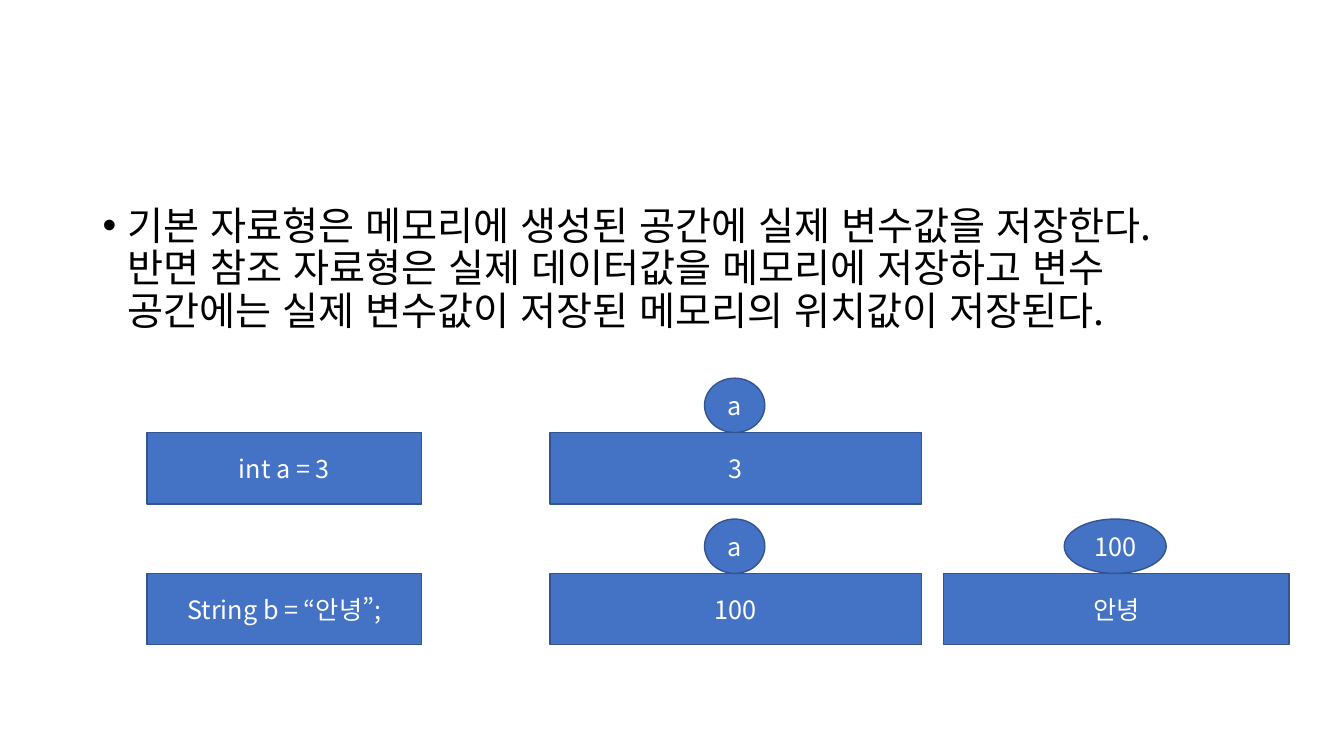
from pptx import Presentation
from pptx.dml.color import RGBColor
from pptx.enum.lang import MSO_LANGUAGE_ID
from pptx.enum.shapes import MSO_SHAPE
from pptx.enum.text import MSO_ANCHOR, PP_ALIGN
from pptx.util import Cm, Pt

FONT = "Noto Sans CJK KR"
EXPLANATION = (
    "기본 자료형은 메모리에 생성된 공간에 실제 변수값을 저장한다. "
    "반면 참조 자료형은 실제 데이터값을 메모리에 저장하고 변수 "
    "공간에는 실제 변수값이 저장된 메모리의 위치값이 저장된다."
)
BOX_HEIGHT = 1.8
LABEL_HEIGHT = 1.37
LABEL_SHIFT = -0.03
COLUMNS = {"code": (3.71, 6.91), "variable": (13.86, 9.37), "data": (23.78, 8.71)}
PRIMITIVE_TOP = 10.9
REFERENCE_TOP = 14.45


def color(value):
    """Turn a hex string into a colour."""
    return RGBColor.from_string(value)


def set_font(paragraph, size, value):
    """Set size, colour, typeface and language of a paragraph."""
    font = paragraph.font
    font.size = Pt(size)
    font.color.rgb = color(value)
    font.name = FONT
    font.language_id = MSO_LANGUAGE_ID.KOREAN


def add_explanation(slide):
    """Fill the body placeholder with the bulleted explanation."""
    body = slide.placeholders[1]
    body.left, body.top, body.width, body.height = Cm(2.33), Cm(5.08), Cm(29.21), Cm(12.09)
    body.text_frame.margin_right = Cm(1.25)
    para = body.text_frame.paragraphs[0]
    para.text = EXPLANATION
    para.line_spacing = 0.9
    para.space_before = Pt(10)
    set_font(para, 28, "000000")
    properties = para._p.pPr
    properties.set("marL", str(Cm(0.64)))
    properties.set("indent", str(-Cm(0.64)))


def add_block(slide, kind, text, left, top, width, height):
    """Add a blue shape with centred white text."""
    block = slide.shapes.add_shape(kind, Cm(left), Cm(top), Cm(width), Cm(height))
    block.shadow.inherit = False
    block.fill.solid()
    block.fill.fore_color.rgb = color("4472C4")
    block.line.color.rgb = color("325491")
    block.line.width = Pt(1)
    frame = block.text_frame
    frame.word_wrap = True
    frame.vertical_anchor = MSO_ANCHOR.MIDDLE
    para = frame.paragraphs[0]
    para.text = text
    para.alignment = PP_ALIGN.CENTER
    set_font(para, 18, "FFFFFF")


def add_cell(slide, column, top, text, label=None, label_width=1.52):
    """Add a memory cell, with an optional label standing near its middle."""
    left, width = COLUMNS[column]
    add_block(slide, MSO_SHAPE.RECTANGLE, text, left, top, width, BOX_HEIGHT)
    if label:
        label_left = left + (width - label_width) / 2 + LABEL_SHIFT
        add_block(slide, MSO_SHAPE.OVAL, label, label_left, top - LABEL_HEIGHT,
                  label_width, LABEL_HEIGHT)


def main():
    """Build the slide and save the deck."""
    deck = Presentation()
    deck.slide_width, deck.slide_height = Cm(33.87), Cm(19.05)
    slide = deck.slides.add_slide(deck.slide_layouts.get_by_name("Title and Content"))
    title = slide.shapes.title.element
    title.getparent().remove(title)
    add_explanation(slide)
    add_cell(slide, "code", PRIMITIVE_TOP, "int a = 3")
    add_cell(slide, "variable", PRIMITIVE_TOP, "3", "a")
    add_cell(slide, "code", REFERENCE_TOP, "String b = “안녕”;")
    add_cell(slide, "variable", REFERENCE_TOP, "100", "a")
    add_cell(slide, "data", REFERENCE_TOP, "안녕", "100", 2.57)
    deck.save("out.pptx")


main()
